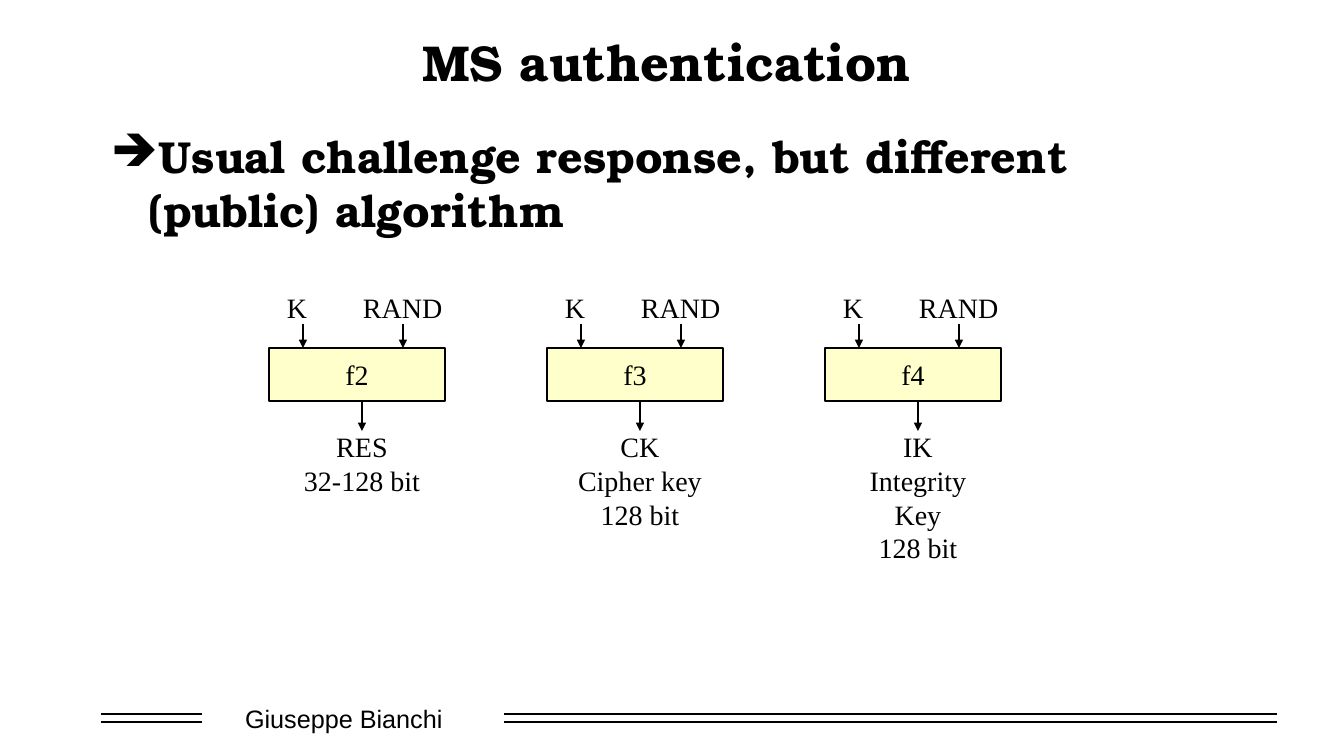
import pptx
import pptx.util
import pptx.dml.color
import pptx.enum.shapes
import pptx.enum.text
import pptx.oxml
import lxml.etree

PX = 914400 / 100.8
COLORS = {"ink": "000000", "paper": "FFFFFF", "function": "FFFF99"}
SERIF, HEADING, SANS = "Times New Roman", "TeX Gyre Bonum", "Arial"
ALIGN = pptx.enum.text.PP_ALIGN
MIDDLE = pptx.enum.text.MSO_ANCHOR.MIDDLE
A = "http://schemas.openxmlformats.org/drawingml/2006/main"

prs = pptx.Presentation()
prs.slide_width = round(1344 * PX)
prs.slide_height = round(756 * PX)
slide = prs.slides.add_slide(prs.slide_layouts[6])


def add_text(box, text, size, font, fill=None, line=False, align=ALIGN.LEFT,
             anchor=pptx.enum.text.MSO_ANCHOR.TOP, bold=False, wrap=True):
    label = slide.shapes.add_shape(
        pptx.enum.shapes.MSO_SHAPE.RECTANGLE, *[round(v * PX) for v in box]
    ) if fill else slide.shapes.add_textbox(*[round(v * PX) for v in box])
    if fill:
        label.shadow.inherit = False
        label.fill.solid()
        label.fill.fore_color.rgb = pptx.dml.color.RGBColor.from_string(COLORS[fill])
        if line:
            label.line.color.rgb = pptx.dml.color.RGBColor.from_string(COLORS["ink"])
            label.line.width = pptx.util.Pt(1)
        else:
            label.line.fill.background()
    frame = label.text_frame
    frame.text = text
    frame.word_wrap = wrap
    frame.vertical_anchor = anchor
    for paragraph in frame.paragraphs:
        paragraph.alignment = align
        for run in paragraph.runs:
            run.font.size = pptx.util.Pt(size)
            run.font.name = font
            run.font.bold = bold
            run.font.color.rgb = pptx.dml.color.RGBColor.from_string(COLORS["ink"])
    return label


def add_line(x1, y1, x2, y2, arrow=False):
    rule = slide.shapes.add_connector(
        pptx.enum.shapes.MSO_CONNECTOR.STRAIGHT, *[round(v * PX) for v in (x1, y1, x2, y2)])
    rule.line.color.rgb = pptx.dml.color.RGBColor.from_string(COLORS["ink"])
    rule.line.width = pptx.util.Pt(1)
    if arrow:
        lxml.etree.SubElement(rule.line._get_or_add_ln(), f"{{{A}}}tailEnd", type="triangle")
    lxml.etree.SubElement(rule._element.spPr, f"{{{A}}}effectLst")


add_text((202, 698, 291, 40), "Giuseppe Bianchi", 18, SANS, fill="paper", anchor=MIDDLE).text_frame.margin_left = round(43 * PX)
for y in (714, 722):
    for left, right in ((101, 202), (504, 1277)):
        add_line(left, y, right, y)

add_text((101, 25, 1131, 72), "MS authentication", 36, HEADING,
         align=ALIGN.CENTER, anchor=MIDDLE, bold=True)

point = add_text((101, 124, 1131, 548),
                 "Usual challenge response, but different (public) algorithm",
                 32, HEADING, bold=True).text_frame.paragraphs[0]
point.space_before = pptx.util.Pt(6.4)
indent = point._p.get_or_add_pPr()
indent.set("marL", str(round(38 * PX)))
indent.set("indent", str(round(-38 * PX)))
lxml.etree.SubElement(indent, f"{{{A}}}buChar", char="➔")

FUNCTIONS = [
    ("f2", "RES\n32-128 bit"),
    ("f3", "CK\nCipher key\n128 bit"),
    ("f4", "IK\nIntegrity Key\n128 bit"),
]
for column, (function, output) in enumerate(FUNCTIONS):
    left = 269 + 278 * column
    for name, text_x, width, arrow_x in (("K", 8, 40, 34), ("RAND", 84, 100, 134)):
        add_text((left + text_x, 286, width, 43), name, 20, SERIF, wrap=False)
        add_line(left + arrow_x, 324, left + arrow_x, 348, arrow=True)
    block = add_text((left, 348, 176, 53), function, 20, SERIF, fill="function", line=True,
                     align=ALIGN.CENTER, anchor=MIDDLE, wrap=False)
    tint = block._element.spPr.find(f"{{{A}}}solidFill/{{{A}}}srgbClr")
    lxml.etree.SubElement(tint, f"{{{A}}}alpha", val="50000")
    add_line(left + 93, 401, left + 93, 431, arrow=True)
    add_text((left + 13, 425, 160, 111), output, 20, SERIF, align=ALIGN.CENTER)

prs.save("out.pptx")
